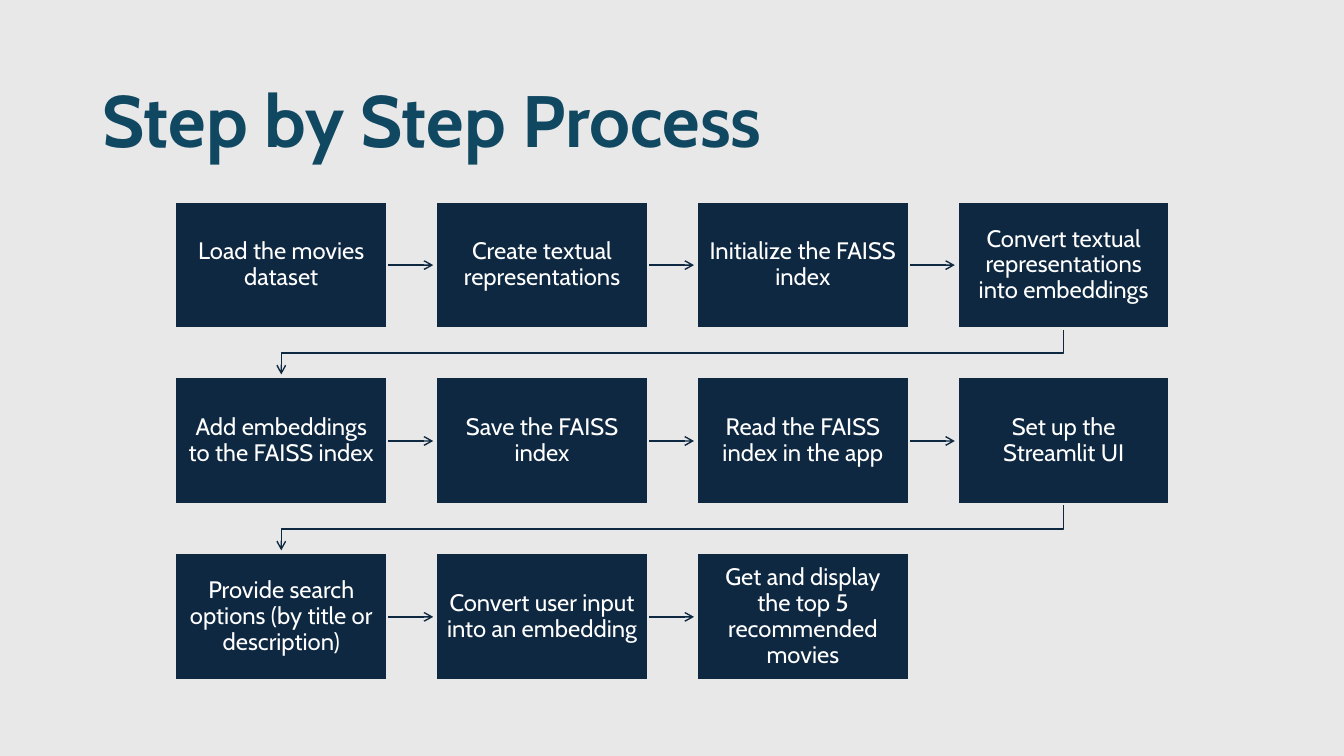
from lxml import etree
from pptx import Presentation
from pptx.dml.color import RGBColor
from pptx.enum.shapes import MSO_CONNECTOR as Connector, MSO_SHAPE as Shape
from pptx.enum.text import MSO_ANCHOR as Anchor, PP_ALIGN as Align
from pptx.oxml.ns import qn
from pptx.util import Inches, Pt

COLORS = {"background": "E8E8E8", "title": "104862", "navy": "0E2841", "white": "FFFFFF"}
FONT = "Cabin"
STEPS = [
    "Load the movies dataset",
    "Create textual representations",
    "Initialize the FAISS index",
    "Convert textual representations into embeddings",
    "Add embeddings to the FAISS index",
    "Save the FAISS index",
    "Read the FAISS index in the app",
    "Set up the Streamlit UI",
    "Provide search options (by title or description)",
    "Convert user input into an embedding",
    "Get and display the top 5 recommended movies",
]
COLUMNS, ROWS = 4, 3
STEP_WIDTH, STEP_HEIGHT = 2.1, 1.26
ARROW_GAP = 0.03


def color(name):
    return RGBColor.from_string(COLORS[name])


def write_text(shape, text, size, fill, bold=False, align=Align.LEFT, inset=(0.1, 0.05)):
    frame = shape.text_frame
    frame.word_wrap = True
    frame.vertical_anchor = Anchor.MIDDLE
    frame.margin_left = frame.margin_right = Inches(inset[0])
    frame.margin_top = frame.margin_bottom = Inches(inset[1])
    para = frame.paragraphs[0]
    para.alignment = align
    para.line_spacing = 0.9
    span = para.add_run()
    span.text = text
    span.font.name = FONT
    span.font.size = Pt(size)
    span.font.bold = bold
    span.font.color.rgb = color(fill)


def style_arrow(arrow):
    arrow.line.color.rgb = color("navy")
    arrow.line.width = Pt(1)
    etree.SubElement(arrow.line._get_or_add_ln(), qn("a:tailEnd"), type="arrow")


def add_title(page, box, text):
    title = page.shapes.add_textbox(*map(Inches, box))
    write_text(title, text, 52, "title", bold=True)


def add_step(page, box, text):
    step = page.shapes.add_shape(Shape.RECTANGLE, *map(Inches, box))
    step.shadow.inherit = False
    step.fill.solid()
    step.fill.fore_color.rgb = color("navy")
    step.line.color.rgb = color("background")
    step.line.width = Pt(1.5)
    write_text(step, text, 17, "white", align=Align.CENTER, inset=(0.1, 0.11))


def add_straight_arrow(page, start, end, y):
    arrow = page.shapes.add_connector(Connector.STRAIGHT, *map(Inches, (start, y, end, y)))
    style_arrow(arrow)
    etree.SubElement(arrow._element.spPr, qn("a:effectLst"))


def add_return_arrow(page, start, end, top, bottom):
    """Lead from the end of one row to the start of the next."""
    middle = (top + bottom + ARROW_GAP) / 2
    points = [(start, top), (start, middle), (end, middle), (end, bottom)]
    corners = [(Inches(x), Inches(y)) for x, y in points]
    builder = page.shapes.build_freeform(*corners[0])
    builder.add_line_segments(corners[1:], close=False)
    arrow = builder.convert_to_shape()
    arrow.shadow.inherit = False
    arrow.fill.background()
    style_arrow(arrow)


def add_process(page, box, steps):
    left, top, width, height = box
    column_pitch = (width - STEP_WIDTH) / (COLUMNS - 1)
    row_pitch = (height - STEP_HEIGHT) / (ROWS - 1)
    for index, text in enumerate(steps):
        row, column = divmod(index, COLUMNS)
        x, y = left + column * column_pitch, top + row * row_pitch
        # Arrow to the next step, lying under the step's border
        if index < len(steps) - 1:
            if column < COLUMNS - 1:
                add_straight_arrow(page, x + STEP_WIDTH, x + column_pitch - ARROW_GAP,
                                   y + STEP_HEIGHT / 2)
            else:
                add_return_arrow(page, x + STEP_WIDTH / 2, left + STEP_WIDTH / 2,
                                 y + STEP_HEIGHT, y + row_pitch - ARROW_GAP)
        add_step(page, (x, y, STEP_WIDTH, STEP_HEIGHT), text)


def main():
    deck = Presentation()
    deck.slide_width, deck.slide_height = Inches(13.33), Inches(7.5)
    page = deck.slides.add_slide(deck.slide_layouts[6])
    page.background.fill.solid()
    page.background.fill.fore_color.rgb = color("background")
    add_title(page, (0.92, 0.61, 11.5, 1.24), "Step by Step Process")
    add_process(page, (1.74, 2, 9.86, 4.75), STEPS)
    deck.save("out.pptx")


if __name__ == "__main__":
    main()
